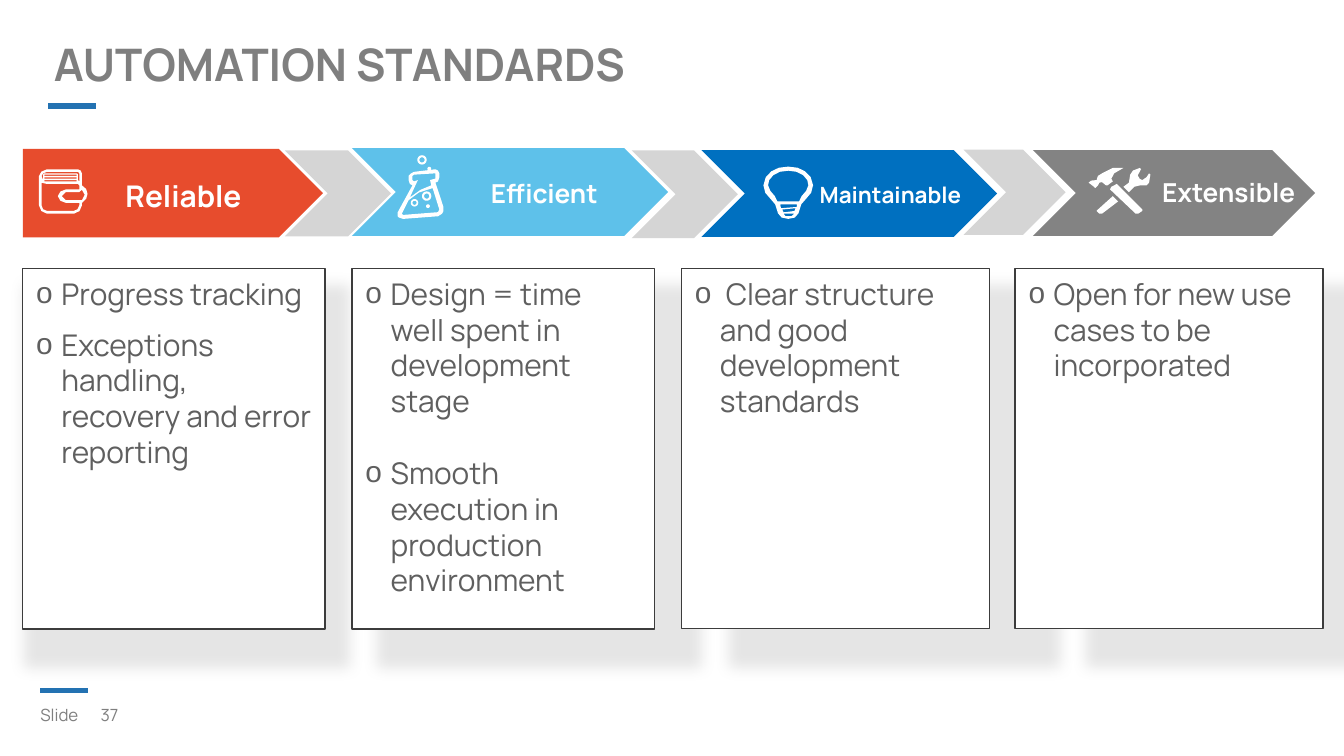
from math import cos, pi, sin
from typing import NamedTuple

from lxml.etree import SubElement
from pptx import Presentation
from pptx.dml.color import RGBColor
from pptx.enum.shapes import MSO_CONNECTOR, MSO_SHAPE as Preset
from pptx.enum.text import MSO_ANCHOR as Anchor, MSO_AUTO_SIZE as AutoSize, PP_ALIGN as Align
from pptx.oxml.ns import qn
from pptx.util import Pt

FONT = "Manrope"
WHITE, ACCENT, MUTED, BODY, GAP = "FFFFFF", "2372B2", "7F7F7F", "5F5F5F", "D5D5D5"
Contour = list[tuple[float, float]]


class Box(NamedTuple):
    left: float
    top: float
    width: float
    height: float


class Bullet(NamedTuple):
    text: str
    space_before: float = 0


class Standard(NamedTuple):
    label: str
    size: float
    color: str
    preset: Preset
    arrow: Box
    label_box: Box
    card: Box
    bullets: list[Bullet]


class Icon(NamedTuple):
    left: float
    top: float
    contours: list[Contour]


def mirrored(half: Contour, center: float) -> Contour:
    return [(center + x, y) for x, y in half] + [(center - x, y) for x, y in reversed(half)]


def oval(x: float, y: float, radius: float) -> Contour:
    angles = [2 * pi * step / 24 for step in range(24)]
    return [(x + radius * cos(a), y + radius * sin(a)) for a in angles]


STANDARDS = [
    Standard("Reliable", 16, "E74C2D", Preset.PENTAGON, Box(12.2, 79.8, 160.8, 47.4),
             Box(34.6, 91.4, 127.4, 23), Box(12.2, 144, 162, 193),
             [Bullet("Progress tracking"),
              Bullet("Exceptions handling, recovery and error reporting", 8)]),
    Standard("Efficient", 14, "5EC1EA", Preset.CHEVRON, Box(188.6, 79.4, 169.4, 47),
             Box(231.1, 91.4, 121, 22.3), Box(188.6, 144, 162, 193),
             [Bullet("Design = time well spent in development stage"),
              Bullet("Smooth execution in production environment", 19.2)]),
    Standard("Maintainable", 12, "0070C0", Preset.CHEVRON, Box(375.8, 80.4, 158.4, 46.6),
             Box(419.8, 93.6, 114.5, 20.2), Box(365, 144, 165, 192.6),
             [Bullet(" Clear structure and good development standards")]),
    Standard("Extensible", 14, "838383", Preset.CHEVRON, Box(553.4, 80.4, 151.2, 46),
             Box(609, 90.7, 98.6, 20.9), Box(543.8, 144, 165, 192.6),
             [Bullet("Open for new use cases to be incorporated")]),
]
GAP_CHEVRONS = [Box(152.6, 80.6, 56.9, 46), Box(338.4, 80.6, 56.9, 47), Box(516.2, 80.2, 54.7, 45.6)]

WALLET = Icon(20.9, 90.7, [
    [(23, 8.6), (23, 2.2), (22.3, 0.7), (20.9, 0), (4.3, 0), (1.3, 1.3), (0, 3.6), (0, 19.4),
     (1.3, 22.4), (4.3, 23.8), (18.7, 23.8), (21.7, 22.4), (23, 19.4), (23, 18), (25.3, 15.8),
     (26, 13.2), (25.3, 10.6)],
    [(21.6, 19.4), (20.6, 21.4), (18.7, 22.3), (4.3, 22.3), (2.2, 21.4), (1.4, 19.4), (1.4, 7.2),
     (4.3, 7.9), (20.9, 7.9), (21.6, 8.6), (21.6, 10.8), (14.4, 10.8), (11.5, 11.9), (10.1, 14.4),
     (11.5, 16.9), (14.4, 18), (21.6, 18)],
    [(23, 16.6), (14.4, 16.6), (12.2, 14.4), (14.4, 12.2), (21.6, 12.2), (23, 11), (24.5, 13.7)],
    [(4.3, 1.4), (20.9, 1.4), (21.6, 2.2), (21.6, 6.5), (20.9, 5.8), (20.9, 2.6), (20.2, 2.2),
     (2.9, 2.2), (2.2, 2.9), (2.2, 5.8), (1.4, 3.6), (2.2, 2.2)],
    *[[(2.9, y), (20.2, y), (20.2, y + 0.7), (2.9, y + 0.7)] for y in (2.9, 4.3, 5.8)],
])
FLASK = Icon(212.4, 90.7, [
    [(9.4, 1.4), (7.9, 2.2), (6.5, 3.6), (6.5, 5.8), (7.2, 7.9), (8.6, 8.6), (0.7, 23), (0.7, 25.2),
     (1.4, 25.9), (3.6, 26.6), (22.3, 25.2), (24.5, 23.8), (25.2, 22.3), (25.2, 20.2), (20.9, 7.2),
     (22.3, 6.5), (23, 4.3), (23, 2.2), (22.3, 0.7), (20.9, 0)],
    [(23, 21.6), (22.3, 23), (3.6, 24.5), (2.9, 23.8), (6.5, 16.6), (12, 12.5), (19.4, 10.1)],
    [(20.9, 2.9), (20.9, 5), (18, 5.8), (18.7, 8.6), (13, 11), (7.2, 15.1), (11.5, 5.8),
     (9.4, 6.5), (8.6, 5.8), (8.6, 3.6), (9.4, 2.9), (20.9, 2.2)],
])
BUBBLES = Icon(212.4, 80, [
    oval(16.2, 25.1, 2.5), oval(16.2, 25.1, 1.4), oval(13.7, 5.7, 2.5), oval(13.7, 5.7, 1.4),
    oval(9.7, 28.7, 2), oval(9.7, 28.7, 1.1), oval(16.9, 30.5, 1), oval(17.6, 10.4, 1),
])
BULB = Icon(409, 89.3, [
    mirrored([(0, 0), (5, 0.6), (9, 2.5), (12, 5.6), (13.3, 10), (12.3, 14), (9.5, 17.3),
              (7, 20.2), (5.5, 25), (3.5, 27.3), (0, 28)], 13.3),
    mirrored([(0, 2.2), (4.5, 2.8), (8, 4.6), (10.2, 7.2), (10.8, 10), (9.6, 13),
              (7.2, 15.8), (5.8, 18.7)], 13.3),
    [(9, 20.2), (18, 20.2), (18, 21.6), (9.4, 22.3)],
    [(10.1, 23), (17.3, 22.3), (16.6, 23.8), (10.8, 24.5)],
    [(10.8, 25.2), (16.6, 25.2), (15, 26.6), (11.9, 26.6)],
])
TOOLS = Icon(583.2, 90, [
    [(5.8, 7.9), (7.2, 7.6), (9.4, 9.4), (10.1, 9.4), (13, 7.2), (12.2, 5.8), (13.7, 2.9),
     (18.7, 0), (13, 0), (7.2, 2.9), (5, 4.3), (4.3, 6.5), (1.4, 6.8), (0, 7.9), (2.9, 10.1),
     (3.6, 10.8), (5, 9.4)],
    [(15.1, 8.6), (12.2, 10.1), (11.5, 11.5), (25.2, 24.5), (26.6, 24.5), (28.8, 23), (28.8, 22.3)],
    [(33.1, 3.6), (32.4, 2.9), (31, 5), (28.8, 6.5), (27.4, 5.8), (26.3, 4), (28.1, 0.7),
     (27.4, 0), (23.8, 1.4), (22.3, 3.6), (21.6, 7.9), (18.7, 10.1), (21.6, 13), (24.5, 10.1),
     (27.4, 9.4), (31, 9.4), (32.4, 7.9)],
    [(5, 22.3), (4.3, 23), (5.8, 24.5), (7.2, 24.5), (15.8, 18), (13, 15.1)],
])


def rgb(value: str) -> RGBColor:
    return RGBColor.from_string(value)


def place(shape, box: Box) -> None:
    shape.left, shape.top, shape.width, shape.height = map(Pt, box)


def paint(shape, color: str) -> None:
    shape.shadow.inherit = False
    shape.fill.solid()
    shape.fill.fore_color.rgb = rgb(color)
    shape.line.fill.background()


def set_frame(frame, x: float, y: float, anchor: Anchor = Anchor.TOP) -> None:
    frame.word_wrap = True
    frame.auto_size = AutoSize.NONE
    frame.vertical_anchor = anchor
    frame.margin_left = frame.margin_right = Pt(x)
    frame.margin_top = frame.margin_bottom = Pt(y)


def add_run(paragraph, text: str, size: float, color: str, bold: bool = False) -> None:
    run = paragraph.add_run()
    run.text = text
    run.font.name, run.font.size, run.font.bold = FONT, Pt(size), bold
    run.font.color.rgb = rgb(color)


def add_label(slide, box: Box, text: str, size: float, color: str, bold: bool = False,
              align: Align = Align.LEFT, anchor: Anchor = Anchor.TOP,
              inset: tuple[float, float] = (7.2, 3.6)) -> None:
    frame = slide.shapes.add_textbox(*map(Pt, box)).text_frame
    set_frame(frame, *inset, anchor)
    frame.paragraphs[0].alignment = align
    add_run(frame.paragraphs[0], text, size, color, bold)


def add_arrow(slide, preset: Preset, box: Box, color: str) -> None:
    paint(slide.shapes.add_shape(preset, *map(Pt, box)), color)


def add_icon(slide, icon: Icon) -> None:
    first, *others = [[(round((icon.left + x) * 100), round((icon.top + y) * 100)) for x, y in contour]
                      for contour in icon.contours]
    builder = slide.shapes.build_freeform(*first[0], scale=Pt(1) / 100)
    builder.add_line_segments(first[1:], close=True)
    for contour in others:
        builder.move_to(*contour[0])
        builder.add_line_segments(contour[1:], close=True)
    paint(builder.convert_to_shape(), WHITE)


def add_rule(slide, left: float, top: float, width: float) -> None:
    rule = slide.shapes.add_connector(MSO_CONNECTOR.STRAIGHT, Pt(left), Pt(top), Pt(left + width), Pt(top))
    rule.line.width, rule.line.color.rgb = Pt(3), rgb(ACCENT)
    SubElement(rule.element.spPr, qn("a:effectLst"))


def add_soft_shadow(card) -> None:
    effects = SubElement(card.element.spPr, qn("a:effectLst"))
    shadow = SubElement(effects, qn("a:outerShdw"), blurRad=str(Pt(8)), dist="0", sx="107000",
                        sy="106000", algn="ctr", rotWithShape="0")
    tint = SubElement(shadow, qn("a:srgbClr"), val="000000")
    SubElement(tint, qn("a:alpha"), val="10000")


def fill_card(card, standard: Standard) -> None:
    place(card, standard.card)
    card.fill.solid()
    card.fill.fore_color.rgb = rgb(WHITE)
    card.line.width, card.line.color.rgb = Pt(0.75), rgb("3C3C3C")
    add_soft_shadow(card)
    frame = card.text_frame
    set_frame(frame, 7.2, 3.6)
    for index, bullet in enumerate(standard.bullets):
        paragraph = frame.add_paragraph() if index else frame.paragraphs[0]
        properties = paragraph._p.get_or_add_pPr()
        properties.set("marL", str(Pt(13.5)))
        properties.set("indent", str(Pt(-13.5)))
        SubElement(SubElement(properties, qn("a:buClr")), qn("a:srgbClr"), val=BODY)
        SubElement(properties, qn("a:buChar"), char="o")
        paragraph.alignment = Align.LEFT
        paragraph.space_before = Pt(bullet.space_before)
        add_run(paragraph, bullet.text, 16, BODY)


def main() -> None:
    deck = Presentation()
    deck.slide_width, deck.slide_height = Pt(720), Pt(405)
    slide = deck.slides.add_slide(deck.slide_layouts.get_by_name("Comparison"))
    title, *cards = slide.placeholders
    place(title, Box(21.6, 19.4, 560, 29.5))
    set_frame(title.text_frame, 7.2, 7.2)
    heading = title.text_frame.paragraphs[0]
    heading.alignment, heading.line_spacing = Align.LEFT, 0.75
    add_run(heading, "AUTOMATION STANDARDS", 24, MUTED, True)
    add_rule(slide, 25.9, 56.7, 25.8)
    add_rule(slide, 21.5, 370, 25.8)
    add_label(slide, Box(46.8, 373, 38.2, 19.4), "37", 9, MUTED, anchor=Anchor.MIDDLE)
    add_label(slide, Box(16.6, 374.4, 32.4, 16.6), "Slide", 9, MUTED, inset=(5, 2.9))
    for box in GAP_CHEVRONS:
        add_arrow(slide, Preset.CHEVRON, box, GAP)
    for card, standard in zip(cards, STANDARDS):
        add_arrow(slide, standard.preset, standard.arrow, standard.color)
        add_label(slide, standard.label_box, standard.label, standard.size, WHITE, True, Align.CENTER)
        fill_card(card, standard)
    for icon in (WALLET, FLASK, BUBBLES, BULB, TOOLS):
        add_icon(slide, icon)
    deck.save("out.pptx")


if __name__ == "__main__":
    main()
